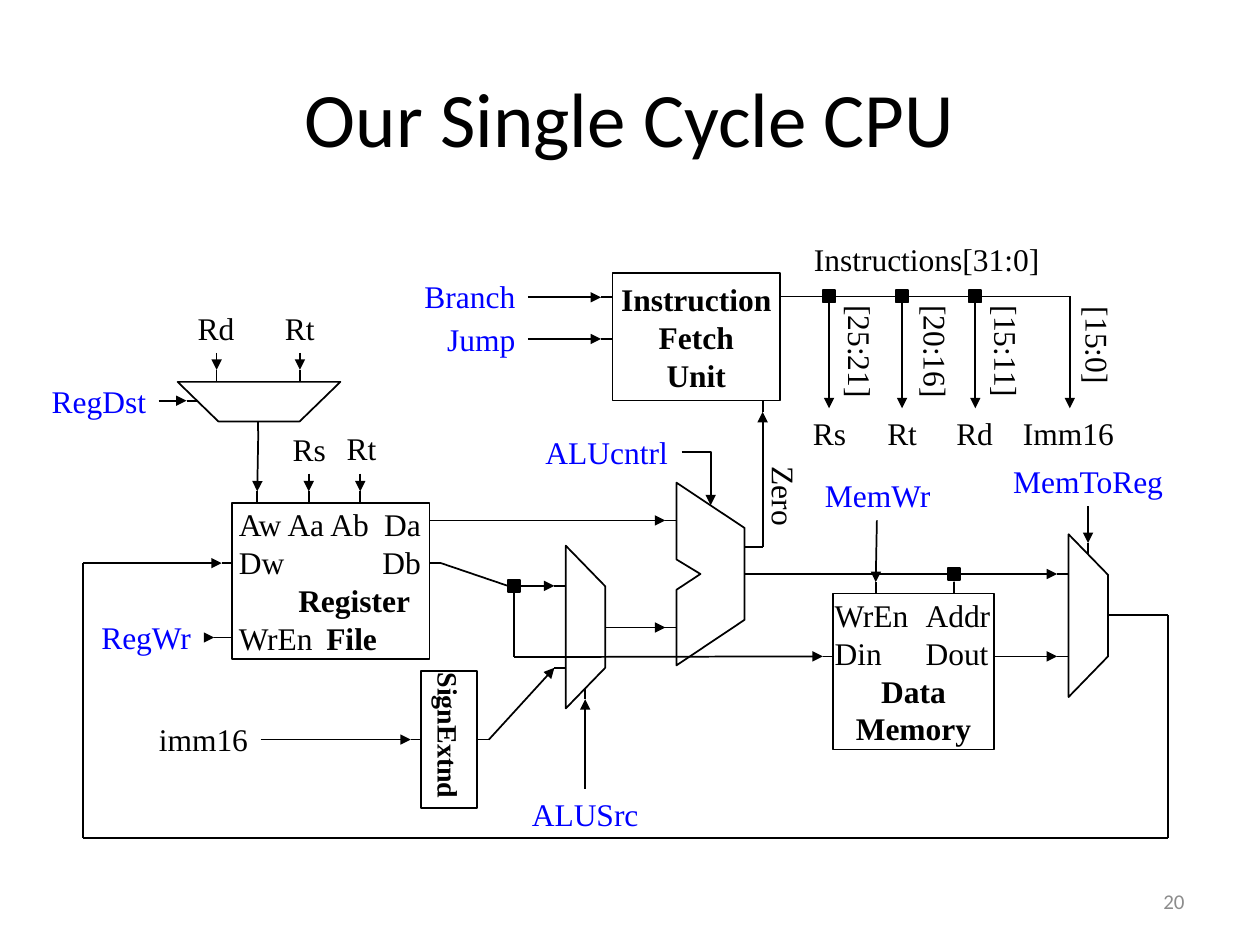
import pptx
import pptx.dml.color
import pptx.enum.shapes
import pptx.enum.text
import pptx.oxml
import pptx.oxml.ns
import pptx.util
from lxml import etree

Pt = pptx.util.Pt
ALIGN = pptx.enum.text.PP_ALIGN
SHAPE = pptx.enum.shapes.MSO_SHAPE
CONNECTOR = pptx.enum.shapes.MSO_CONNECTOR
TOP, LEFT, BOTTOM, RIGHT = range(4)


def colour(value):
    return pptx.dml.color.RGBColor.from_string(value)


def child(parent, tag, **attributes):
    return etree.SubElement(parent, pptx.oxml.ns.qn(tag), **attributes)


class Diagram:
    ink, paper, control = "000000", "FFFFFF", "0000FF"
    font, size, stroke = "Times New Roman", 18, 1

    def __init__(self, slide):
        self.slide = slide
        self.shapes = slide.shapes

    def add_words(self, paragraph, text, bold=False, hue=None, size=None, font=None):
        run = paragraph.add_run()
        run.text = text
        run.font.name = font or self.font
        run.font.size = Pt(size or self.size)
        run.font.bold = bold
        run.font.color.rgb = colour(hue or self.ink)

    def heading(self, text, x, y, width, height, align, size, hue):
        frame = self.shapes.add_textbox(Pt(x), Pt(y), Pt(width), Pt(height)).text_frame
        frame.word_wrap = True
        frame.vertical_anchor = pptx.enum.text.MSO_ANCHOR.MIDDLE
        frame.paragraphs[0].alignment = align
        self.add_words(frame.paragraphs[0], text, hue=hue, size=size, font="Calibri")

    def label(self, text, x, y, width, hue=None, rotation=0):
        box = self.shapes.add_textbox(Pt(x), Pt(y), Pt(width), Pt(28.8))
        box.rotation = rotation
        frame = box.text_frame
        frame.word_wrap = False
        frame.auto_size = pptx.enum.text.MSO_AUTO_SIZE.SHAPE_TO_FIT_TEXT
        frame.paragraphs[0].alignment = ALIGN.CENTER
        self.add_words(frame.paragraphs[0], text, hue=hue)

    def paint(self, shape, fill):
        shape.shadow.inherit = False
        shape.fill.solid()
        shape.fill.fore_color.rgb = colour(fill)
        shape.line.color.rgb = colour(self.ink)
        shape.line.width = Pt(self.stroke)
        return shape

    def rectangle(self, x, y, width, height, fill):
        shape = self.shapes.add_shape(SHAPE.RECTANGLE, Pt(x), Pt(y), Pt(width), Pt(height))
        return self.paint(shape, fill)

    def unit(self, x, y, width, height, lines, inset=1, size=None, vertical=False):
        box = self.rectangle(x, y, width, height, self.paper)
        frame = box.text_frame
        frame.word_wrap = True
        frame.vertical_anchor = pptx.enum.text.MSO_ANCHOR.MIDDLE
        frame.margin_left = frame.margin_right = Pt(inset)
        frame.margin_top = frame.margin_bottom = Pt(1)
        if vertical:
            frame._txBody.bodyPr.set("vert", "eaVert")
        for index, (runs, tab) in enumerate(lines):
            paragraph = frame.add_paragraph() if index else frame.paragraphs[0]
            paragraph.alignment = ALIGN.LEFT if tab else ALIGN.CENTER
            if tab:
                stops = child(paragraph._p.get_or_add_pPr(), "a:tabLst")
                child(stops, "a:tab", pos=str(int(Pt(tab[0]))), algn=tab[1])
            for text, bold in runs:
                self.add_words(paragraph, text, bold, size=size)
        return box

    def polygon(self, corners):
        builder = self.shapes.build_freeform(Pt(corners[0][0]), Pt(corners[0][1]))
        builder.add_line_segments([(Pt(x), Pt(y)) for x, y in corners[1:]], close=True)
        return self.paint(builder.convert_to_shape(), self.paper)

    def mux(self, x, y, upright=True, length=93, depth=22.6):
        profile = [(0, 0), (length / 4, depth), (length * 3 / 4, depth), (length, 0)]
        self.polygon([(x + d, y + a) if upright else (x + a, y + d) for a, d in profile])

    def junction(self, x, y, side=7):
        return self.rectangle(x - side / 2, y - side / 2, side, side, self.ink)

    def connector(self, kind, start, end, arrow):
        (x1, y1), (x2, y2) = [(0, 0) if hasattr(p[0], "shape_id") else p for p in (start, end)]
        line = self.shapes.add_connector(kind, Pt(x1), Pt(y1), Pt(x2), Pt(y2))
        if hasattr(start[0], "shape_id"):
            line.begin_connect(*start)
        if hasattr(end[0], "shape_id"):
            line.end_connect(*end)
        line.line.color.rgb = colour(self.ink)
        line.line.width = Pt(self.stroke)
        if arrow:
            child(line.line._get_or_add_ln(), "a:tailEnd", type="triangle")
        child(line._element.spPr, "a:effectLst")
        return line

    def wire(self, *stops, arrow=None):
        for index, (start, end) in enumerate(zip(stops, stops[1:])):
            self.connector(CONNECTOR.STRAIGHT, start, end, index == arrow)

    def corner(self, start, end):
        line = self.connector(CONNECTOR.ELBOW, start, end, True)
        line._element.spPr.find(pptx.oxml.ns.qn("a:prstGeom")).set("prst", "bentConnector2")


def main():
    deck = pptx.Presentation()
    deck.slide_width, deck.slide_height = Pt(720), Pt(540)
    cpu = Diagram(deck.slides.add_slide(deck.slide_layouts[6]))

    cpu.heading("Our Single Cycle CPU", 36, 21.6, 648, 90, ALIGN.CENTER, 44, cpu.ink)
    cpu.heading("20", 516.2, 500.4, 167.8, 28.8, ALIGN.RIGHT, 12, "8C8C8C")

    cpu.polygon([(386.6, 275.8), (425.5, 301.7), (425.5, 354.2), (386.6, 380.2),
                 (386.6, 337), (400.3, 328), (386.6, 319.7)])
    cpu.mux(323.3, 311.8)
    cpu.mux(610.6, 305.3)
    cpu.mux(101.5, 218.2, upright=False)

    cpu.unit(350, 156.2, 95.8, 72.7,
             [([(word, True)], None) for word in ("Instruction", "Fetch", "Unit")])
    cpu.unit(132.5, 287.3, 113, 89.3, [
        ([("Aw Aa Ab\tDa", False)], (104, "r")),
        ([("Dw\tDb", False)], (104, "r")),
        ([("\tRegister", True)], (34, "l")),
        ([("WrEn\t", False), ("File", True)], (50, "l")),
    ], inset=4)
    cpu.unit(475.9, 339.1, 92.2, 89.3, [
        ([("WrEn\tAddr", False)], (52, "l")),
        ([("Din\tDout", False)], (52, "l")),
        ([("Data", True)], None),
        ([("Memory", True)], None),
    ])
    extender = cpu.unit(240.5, 383.4, 32, 78.4, [([("SignExtnd", True)], None)],
                        size=16, vertical=True)
    operand = cpu.junction(293.8, 334.8)
    address = cpu.junction(545.2, 328)

    bus_y, field_y = 169.4, 233.3
    bus = (445.8, bus_y)
    for x in (473.8, 515.5, 557.3):
        field = cpu.junction(x, bus_y)
        cpu.wire(bus, (field, LEFT))
        cpu.wire((field, BOTTOM), (x, field_y), arrow=0)
        bus = (field, RIGHT)
    cpu.wire(bus, (611.3, bus_y), (611.3, field_y), arrow=1)

    for y in (169.9, 193.7):
        cpu.wire((301.7, y), (343.4, y), (350, y), arrow=0)
    for x in (123.8, 171.4):
        cpu.wire((x, 201.6), (x, 211.3), (x, 218.2), arrow=0)
    for x in (176.4, 205.9):
        cpu.wire((x, 270.7), (x, 280.8), (x, 287.3), arrow=0)
    cpu.wire((90.7, 229), (106.6, 229), (113, 229), arrow=0)
    cpu.wire((147.6, 240.8), (147.6, 246.2), (147, 280.8), (147, 287.3), arrow=1)
    cpu.wire((116.6, 364.3), (122.4, 364.3), (132.5, 364.3), arrow=0)
    cpu.wire((245.5, 297.4), (252, 297.4), (380.2, 297.4), (386.6, 297.4), arrow=1)
    cpu.wire((245.5, 321.8), (252, 321.8), (operand, LEFT))
    cpu.wire((operand, RIGHT), (316.8, 334.8), (323.3, 334.8), arrow=0)
    cpu.wire((operand, BOTTOM), (293.8, 375.5), (470.2, 375.1), (475.9, 375.1), arrow=1)
    cpu.wire((149, 422.6), (234.7, 422.6), (extender, LEFT), arrow=0)
    cpu.wire((extender, RIGHT), (279.4, 422.6), (316.8, 381.6), (323.3, 381.6), arrow=1)
    cpu.wire((334.4, 450.7), (334.4, 399.6), (334.4, 393.1), arrow=0)
    cpu.wire((345.9, 358.6), (352.1, 358.6), (380.2, 358.6), (386.6, 358.6), arrow=1)
    cpu.corner((389.5, 258.5), (406.1, 288.7))
    cpu.wire((425.5, 312.5), (435.8, 312.5), (435.8, 235.4), (435.8, 228.9), arrow=1)
    cpu.wire((425.5, 328), (432, 328), (address, LEFT))
    cpu.wire((address, RIGHT), (604.1, 328), (610.6, 328), arrow=0)
    cpu.wire((address, BOTTOM), (545.2, 332.6), (545.2, 339.1), arrow=0)
    cpu.wire((501.1, 297.4), (500.4, 332.6), (500.4, 339.1), arrow=0)
    cpu.wire((568.1, 375.1), (574.6, 375.1), (604.1, 375.1), (610.6, 375.1), arrow=1)
    cpu.wire((621.8, 289.4), (621.8, 310.3), (621.8, 316.8), arrow=0)
    cpu.wire((633.2, 351.4), (667.4, 351.4), (667.4, 478.8), (47.5, 478.8),
             (47.5, 321.8), (126.7, 321.8), (132.5, 321.8), arrow=4)

    for text, x, y, width in [
        ("Rd", 105.8, 172.8, 35.3), ("Rt", 155.5, 172.8, 31.7),
        ("Rs", 159.8, 242.3, 33.8), ("Rt", 190.8, 241.9, 31.7),
        ("Rs", 457.2, 233.3, 33.8), ("Rt", 499.7, 233.3, 31.7),
        ("Rd", 539.3, 233.3, 35.3), ("Imm16", 577.4, 233.3, 66.2),
        ("imm16", 83.5, 408.2, 65.5), ("Instructions[31:0]", 457.9, 133.9, 143.3),
    ]:
        cpu.label(text, x, y, width)
    for text, x, y, width in [
        ("[25:21]", 457.9, 186.5, 67.7), ("[20:16]", 501.1, 186.5, 67.7),
        ("[15:11]", 541.4, 186.5, 67.7), ("[15:0]", 598.3, 182.9, 58.3),
        ("Zero", 424.1, 269.3, 48.2),
    ]:
        cpu.label(text, x, y, width, rotation=90)
    for text, x, y, width in [
        ("Branch", 235.4, 154.8, 66.2), ("Jump", 248.4, 179.3, 53.3),
        ("RegDst", 22.3, 214.6, 68.4), ("RegWr", 50.4, 349.9, 66.2),
        ("ALUcntrl", 304.6, 244.1, 84.2), ("ALUSrc", 296.6, 450.7, 75.6),
        ("MemWr", 463.7, 268.6, 75.6), ("MemToReg", 571, 260.6, 101.5),
    ]:
        cpu.label(text, x, y, width, cpu.control)

    deck.save("out.pptx")


if __name__ == "__main__":
    main()
